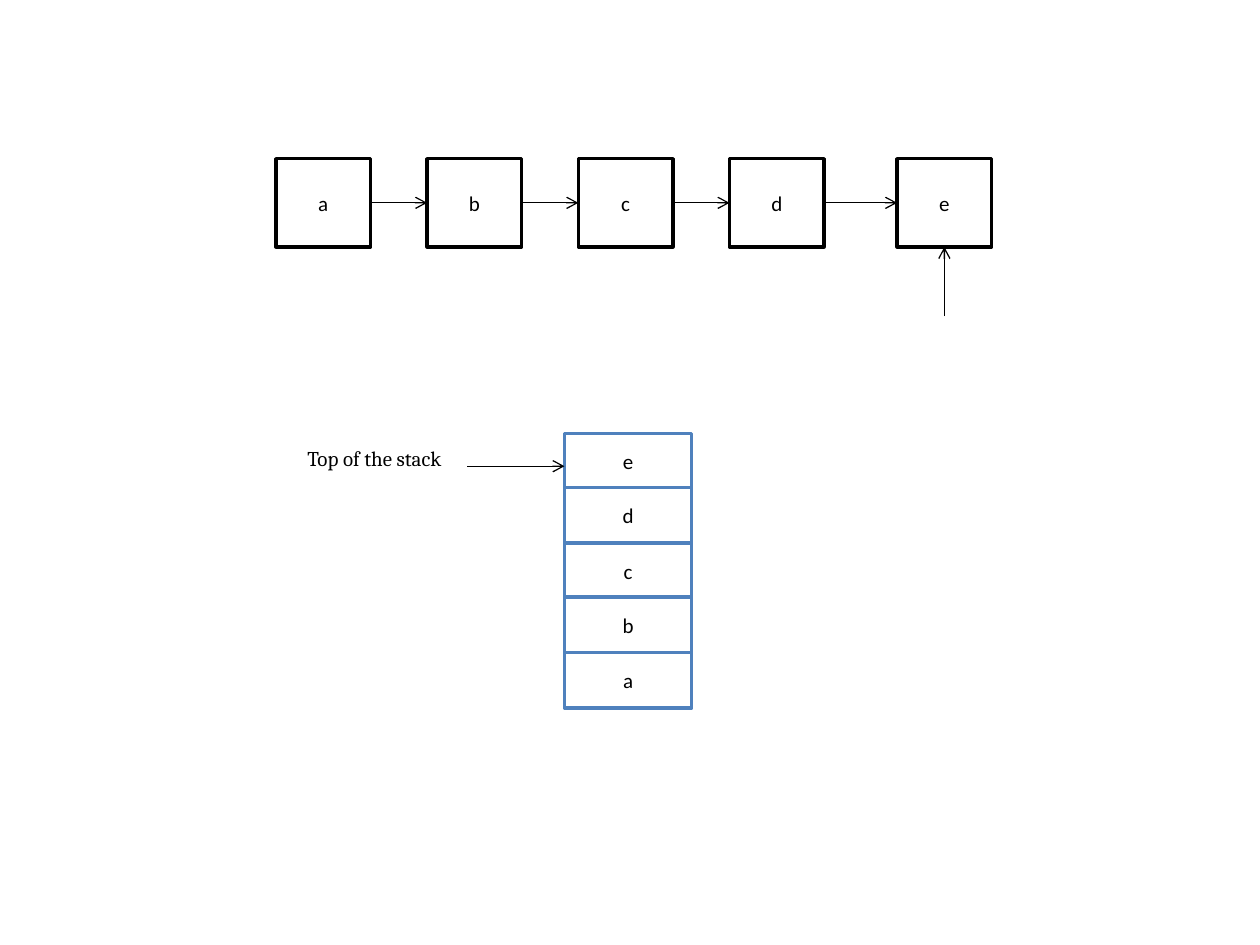
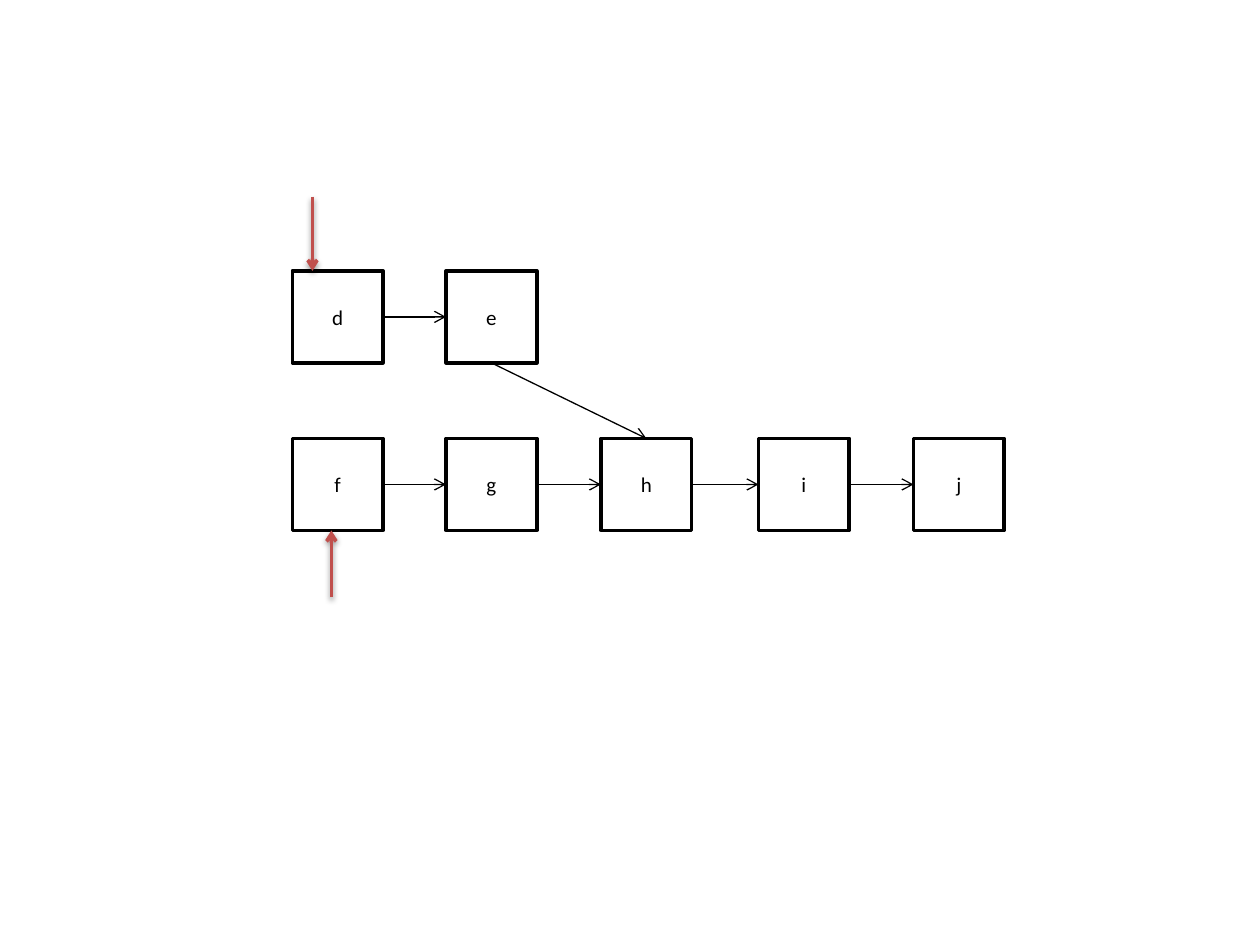
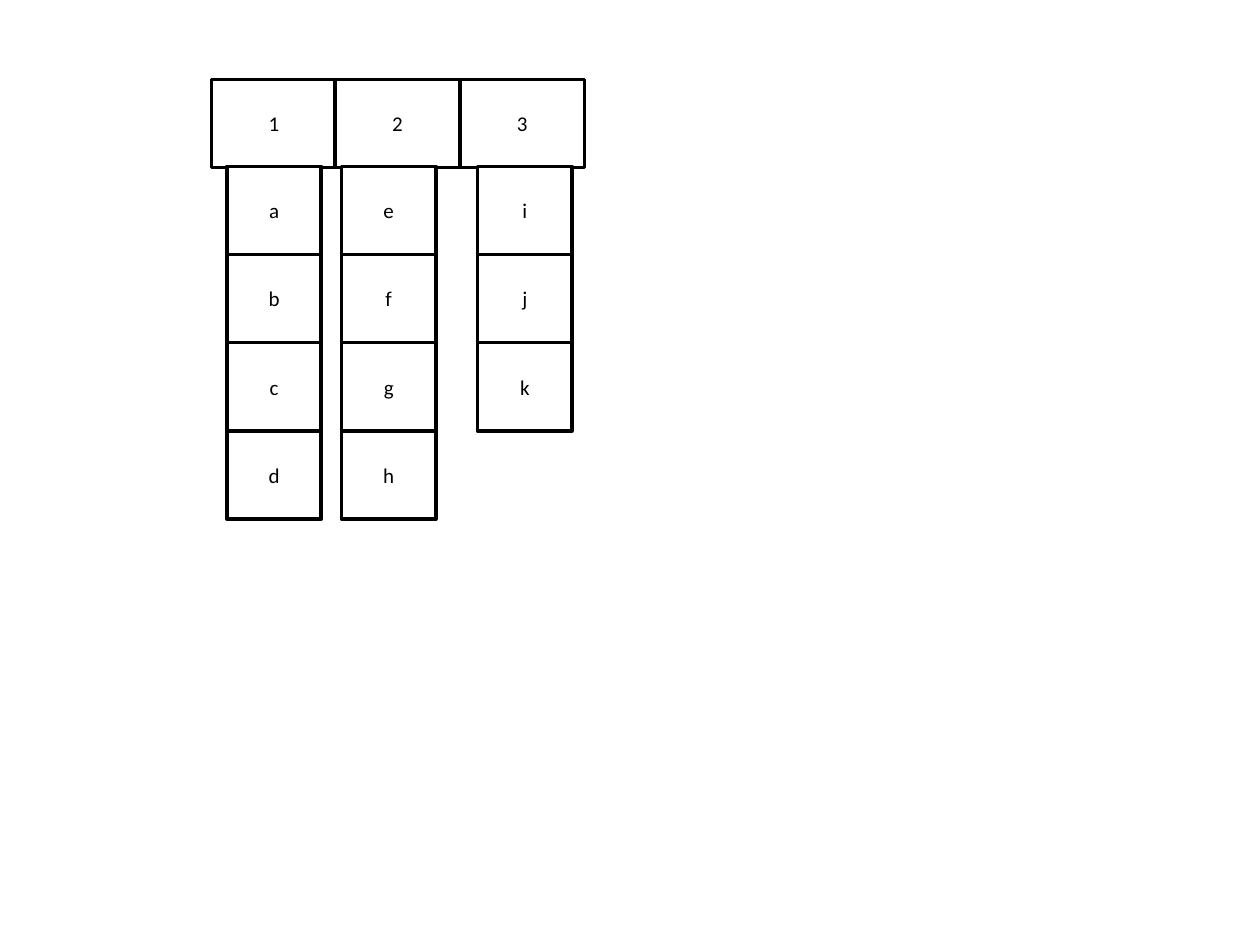
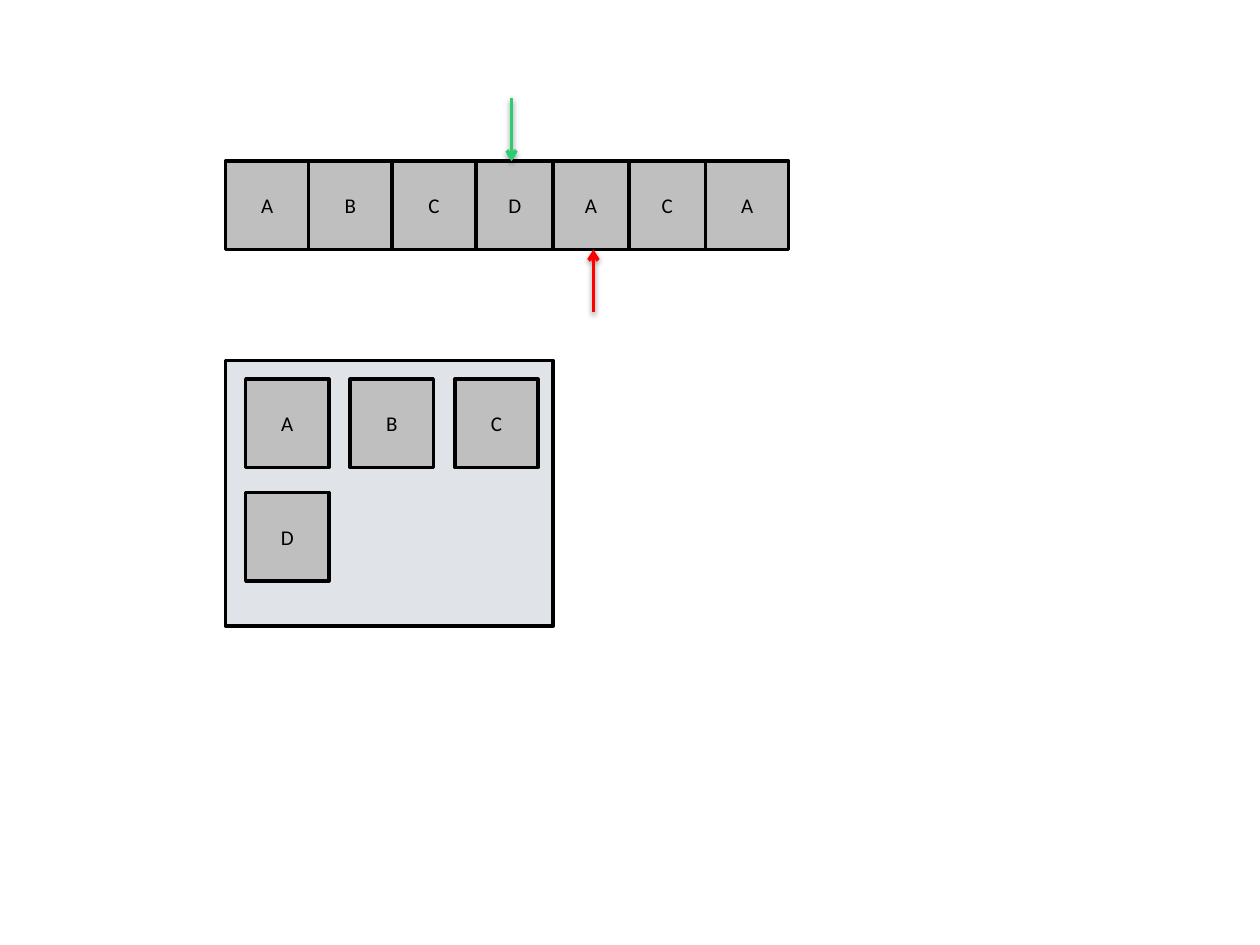
import itertools

import lxml.etree
import pptx
import pptx.dml.color
import pptx.enum.shapes
import pptx.enum.text
import pptx.oxml.ns
import pptx.util

RGB = pptx.dml.color.RGBColor
BLACK = RGB(0x00, 0x00, 0x00)
WHITE = RGB(0xFF, 0xFF, 0xFF)
BLUE = RGB(0x4F, 0x81, 0xBD)
BRICK = RGB(0xC0, 0x50, 0x4D)
GRAY = RGB(0xBF, 0xBF, 0xBF)
SLATE = RGB(0x34, 0x49, 0x5E)
GREEN = RGB(0x2E, 0xCC, 0x71)
RED = RGB(0xFF, 0x00, 0x00)

PX = 9144
TOP, LEFT, BOTTOM, RIGHT = range(4)
qn = pptx.oxml.ns.qn


def px(*values):
    return [pptx.util.Emu(v * PX) for v in values]


def write(tf, text, font="Calibri", size=12, color=BLACK,
          align=pptx.enum.text.PP_ALIGN.CENTER,
          anchor=pptx.enum.text.MSO_ANCHOR.MIDDLE):
    tf.word_wrap = True
    tf.vertical_anchor = anchor
    p = tf.paragraphs[0]
    p.alignment = align
    r = p.add_run()
    r.text = text
    r.font.name = font
    r.font.size = pptx.util.Pt(size)
    r.font.color.rgb = color


def add_box(s, left, top, width, height, text="", fill=WHITE, line=BLACK, alpha=None):
    sp = s.shapes.add_shape(pptx.enum.shapes.MSO_SHAPE.RECTANGLE,
                            *px(left, top, width, height))
    sp.shadow.inherit = False
    sp.fill.solid()
    sp.fill.fore_color.rgb = fill
    sp.line.color.rgb = line
    sp.line.width = pptx.util.Pt(2)
    if alpha is not None:
        color = sp._element.spPr.find(qn("a:solidFill")).find(qn("a:srgbClr"))
        lxml.etree.SubElement(color, qn("a:alpha"), val=str(alpha * 1000))
    if text:
        write(sp.text_frame, text)
    return sp


def add_arrow(s, start=(0, 0), end=(0, 0), color=BLACK, width=0.75, shadow=False,
              begin_join=None, end_join=None):
    c = s.shapes.add_connector(pptx.enum.shapes.MSO_CONNECTOR.STRAIGHT, *px(*start, *end))
    if begin_join:
        c.begin_connect(*begin_join)
    if end_join:
        c.end_connect(*end_join)
    c.line.color.rgb = color
    c.line.width = pptx.util.Pt(width)
    spPr = c._element.spPr
    lxml.etree.SubElement(spPr.find(qn("a:ln")), qn("a:tailEnd"), type="arrow")
    effects = lxml.etree.SubElement(spPr, qn("a:effectLst"))
    if shadow:
        outer = lxml.etree.SubElement(effects, qn("a:outerShdw"), blurRad="40000",
                                      dist="20000", dir="5400000", rotWithShape="0")
        black = lxml.etree.SubElement(outer, qn("a:srgbClr"), val="000000")
        lxml.etree.SubElement(black, qn("a:alpha"), val="38000")
    return c


def add_pointer(s, x, start_y, end_y, color):
    add_arrow(s, (x, start_y), (x, end_y), color, width=2, shadow=True)


def add_chain(s, letters, lefts, top, width, height):
    boxes = [add_box(s, left, top, width, height, letter)
             for letter, left in zip(letters, lefts)]
    for a, b in itertools.pairwise(boxes):
        add_arrow(s, begin_join=(a, RIGHT), end_join=(b, LEFT))
    return boxes


def add_column(s, letters, left, top, width=75, height=70):
    for i, letter in enumerate(letters):
        add_box(s, left, top + i * height, width, height, letter)


def add_stack(s, letters, left, top):
    for i, letter in enumerate(letters):
        add_box(s, left, top + 87 * i // 2, 101, 44, letter, line=BLUE)
    add_arrow(s, (left - 77, top + 26), (left, top + 26))
    label = s.shapes.add_textbox(*px(left - 214, top + 5, 252, 46))
    write(label.text_frame, "Top of the stack", font="Cambria",
          align=pptx.enum.text.PP_ALIGN.LEFT, anchor=pptx.enum.text.MSO_ANCHOR.TOP)


def add_array(s, letters, widths, left, top):
    lefts = itertools.accumulate(widths, initial=left)
    for letter, x, width in zip(letters, lefts, widths):
        add_box(s, x, top, width, 70, letter, fill=GRAY)


def add_set(s, letters, left, top, columns=3):
    add_box(s, left, top, 260, 211, fill=SLATE, alpha=15)
    for i, letter in enumerate(letters):
        row, column = divmod(i, columns)
        add_box(s, left + 16 + 83 * column, top + 15 + 90 * row, 66, 70, letter, fill=GRAY)


def stack_slide(s):
    boxes = add_chain(s, "abcde", (219, 339, 459, 579, 712), 126, 75, 70)
    c = add_arrow(s, start=(750, 251), end_join=(boxes[-1], BOTTOM))
    c.begin_x = c.end_x
    add_stack(s, "edcba", 448, 344)


def merging_lists_slide(s):
    lefts = (232, 354, 477, 602, 725)
    upper = add_chain(s, "de", lefts, 215, 72, 73)
    lower = add_chain(s, "fghij", lefts, 348, 72, 73)
    add_arrow(s, begin_join=(upper[-1], BOTTOM), end_join=(lower[2], TOP))
    add_pointer(s, 248, 156, 215, BRICK)
    add_pointer(s, 263, 474, 421, BRICK)


def buckets_slide(s):
    for i, name in enumerate("123"):
        add_box(s, 168 + 197 * i // 2, 63, 99, 70, name)
    for letters, left in (("abcd", 180), ("efgh", 271), ("ijk", 379)):
        add_column(s, letters, left, 132)


def window_slide(s):
    add_array(s, "ABCDACA", (66, 66, 67, 61, 60, 61, 66), 179, 128)
    add_pointer(s, 406, 78, 128, GREEN)
    add_pointer(s, 471, 248, 198, RED)
    add_set(s, "ABCD", 179, 286)


def main():
    prs = pptx.Presentation()
    prs.slide_width, prs.slide_height = px(1000, 750)
    for build in (stack_slide, merging_lists_slide, buckets_slide, window_slide):
        build(prs.slides.add_slide(prs.slide_layouts[6]))
    prs.save("out.pptx")


if __name__ == "__main__":
    main()
